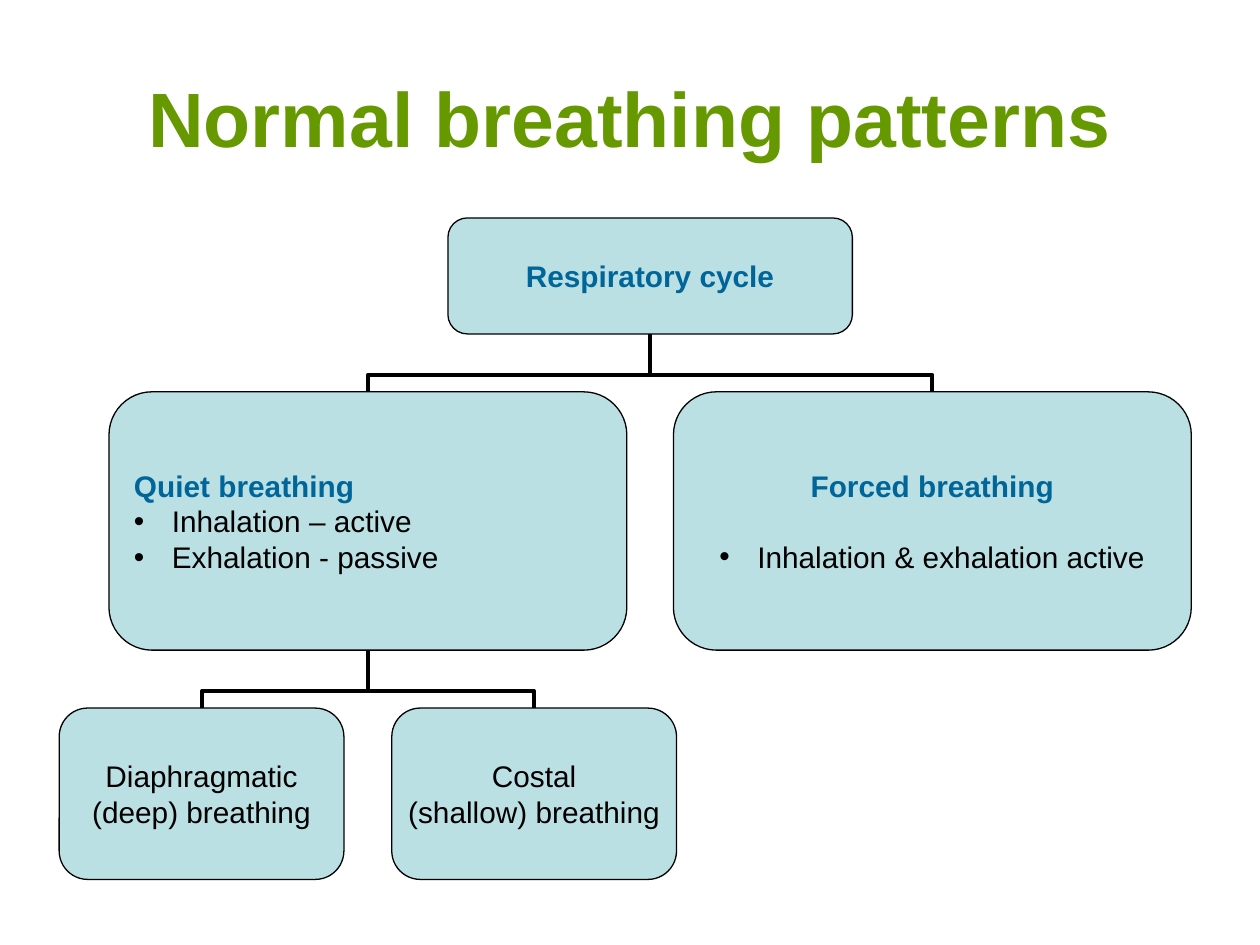
from dataclasses import dataclass

from lxml import etree
from pptx import Presentation
from pptx.dml.color import RGBColor
from pptx.enum.shapes import MSO_CONNECTOR, MSO_SHAPE
from pptx.enum.text import MSO_ANCHOR, PP_ALIGN
from pptx.oxml.ns import qn
from pptx.util import Inches, Pt

ELBOW = MSO_CONNECTOR.ELBOW
ROUNDED = MSO_SHAPE.ROUNDED_RECTANGLE
MIDDLE = MSO_ANCHOR.MIDDLE
LEFT = PP_ALIGN.LEFT
CENTER = PP_ALIGN.CENTER

COLORS = {
    "title": "669900",
    "heading": "006699",
    "text": "000000",
    "line": "000000",
    "box": "BBE0E3",
}
FONT = "Arial"
BULLET_INDENT = Inches(0.3)
ELBOW_BEND = 0.29


@dataclass(frozen=True)
class Line:
    text: str
    heading: bool = False
    bullet: bool = False
    space_before: float = 0


@dataclass(frozen=True)
class Node:
    center: float
    top: float
    width: float
    height: float
    lines: tuple[Line, ...]
    align: PP_ALIGN = CENTER

    @property
    def bottom(self) -> float:
        return self.top + self.height


CYCLE = Node(5.16, 1.73, 3.21, 0.92, (Line("Respiratory cycle", heading=True),))
QUIET = Node(2.92, 3.11, 4.11, 2.05, (
    Line("Quiet breathing", heading=True),
    Line("Inhalation – active", bullet=True),
    Line("Exhalation - passive", bullet=True),
), LEFT)
FORCED = Node(7.4, 3.11, 4.11, 2.05, (
    Line("Forced breathing", heading=True),
    Line("Inhalation & exhalation active", bullet=True, space_before=20),
))
DIAPHRAGMATIC = Node(1.6, 5.62, 2.26, 1.36, (
    Line("Diaphragmatic"), Line("(deep) breathing"),
))
COSTAL = Node(4.24, 5.62, 2.26, 1.36, (
    Line("Costal"), Line("(shallow) breathing"),
))
NODES = (CYCLE, QUIET, FORCED, DIAPHRAGMATIC, COSTAL)
LINKS = ((QUIET, COSTAL), (QUIET, DIAPHRAGMATIC), (CYCLE, FORCED), (CYCLE, QUIET))


def rgb(name: str) -> RGBColor:
    return RGBColor.from_string(COLORS[name])


def write_paragraph(paragraph, text: str, *, size: float, color: str,
                    bold: bool = False, align: PP_ALIGN = CENTER,
                    bullet: bool = False, space_before: float = 0) -> None:
    paragraph.alignment = align
    if space_before:
        paragraph.space_before = Pt(space_before)
    if bullet:
        properties = paragraph._p.get_or_add_pPr()
        properties.set("marL", str(BULLET_INDENT))
        properties.set("indent", str(-BULLET_INDENT))
        bullet_color = etree.SubElement(properties, qn("a:buClr"))
        etree.SubElement(bullet_color, qn("a:srgbClr"), val=COLORS["text"])
        etree.SubElement(properties, qn("a:buFont"), typeface=FONT)
        etree.SubElement(properties, qn("a:buChar"), char="•")
    run = paragraph.add_run()
    run.text = text
    run.font.name = FONT
    run.font.size = Pt(size)
    run.font.bold = bold
    run.font.color.rgb = rgb(color)


def draw_title(slide, text: str) -> None:
    shape = slide.shapes.add_textbox(Inches(0.5), Inches(0.3), Inches(9), Inches(1.25))
    shape.text_frame.word_wrap = True
    shape.text_frame.vertical_anchor = MIDDLE
    write_paragraph(shape.text_frame.paragraphs[0], text, size=44, color="title", bold=True)


def draw_link(slide, parent: Node, child: Node) -> None:
    drop = child.top - parent.bottom
    span = abs(child.center - parent.center)
    middle_x = (child.center + parent.center) / 2
    middle_y = (child.top + parent.bottom) / 2
    connector = slide.shapes.add_connector(
        ELBOW,
        Inches(middle_x - drop / 2), Inches(middle_y - span / 2),
        Inches(middle_x + drop / 2), Inches(middle_y + span / 2),
    )
    properties = connector._element.spPr
    frame = properties.find(qn("a:xfrm"))
    frame.set("flipV", "1")
    if child.center < parent.center:
        frame.set("flipH", "1")
        frame.set("rot", str(90 * 60000))
    else:
        frame.set("rot", str(270 * 60000))
    adjustments = properties.find(qn("a:prstGeom")).get_or_add_avLst()
    etree.SubElement(adjustments, qn("a:gd"), name="adj1",
                     fmla=f"val {round(ELBOW_BEND * 100000)}")
    connector.line.color.rgb = rgb("line")
    connector.line.width = Pt(2.25)
    etree.SubElement(properties, qn("a:effectLst"))


def draw_node(slide, node: Node) -> None:
    shape = slide.shapes.add_shape(
        ROUNDED, Inches(node.center - node.width / 2), Inches(node.top),
        Inches(node.width), Inches(node.height),
    )
    shape.shadow.inherit = False
    shape.fill.solid()
    shape.fill.fore_color.rgb = rgb("box")
    shape.line.color.rgb = rgb("line")
    shape.line.width = Pt(0.75)
    text_frame = shape.text_frame
    text_frame.word_wrap = False
    text_frame.vertical_anchor = MIDDLE
    for index, line in enumerate(node.lines):
        paragraph = text_frame.add_paragraph() if index else text_frame.paragraphs[0]
        write_paragraph(paragraph, line.text, size=17,
                        color="heading" if line.heading else "text",
                        bold=line.heading, align=node.align,
                        bullet=line.bullet, space_before=line.space_before)


def main() -> None:
    presentation = Presentation()
    presentation.slide_width = Inches(10)
    presentation.slide_height = Inches(7.5)
    slide = presentation.slides.add_slide(presentation.slide_layouts[6])
    draw_title(slide, "Normal breathing patterns")
    for parent, child in LINKS:
        draw_link(slide, parent, child)
    for node in NODES:
        draw_node(slide, node)
    presentation.save("out.pptx")


if __name__ == "__main__":
    main()
